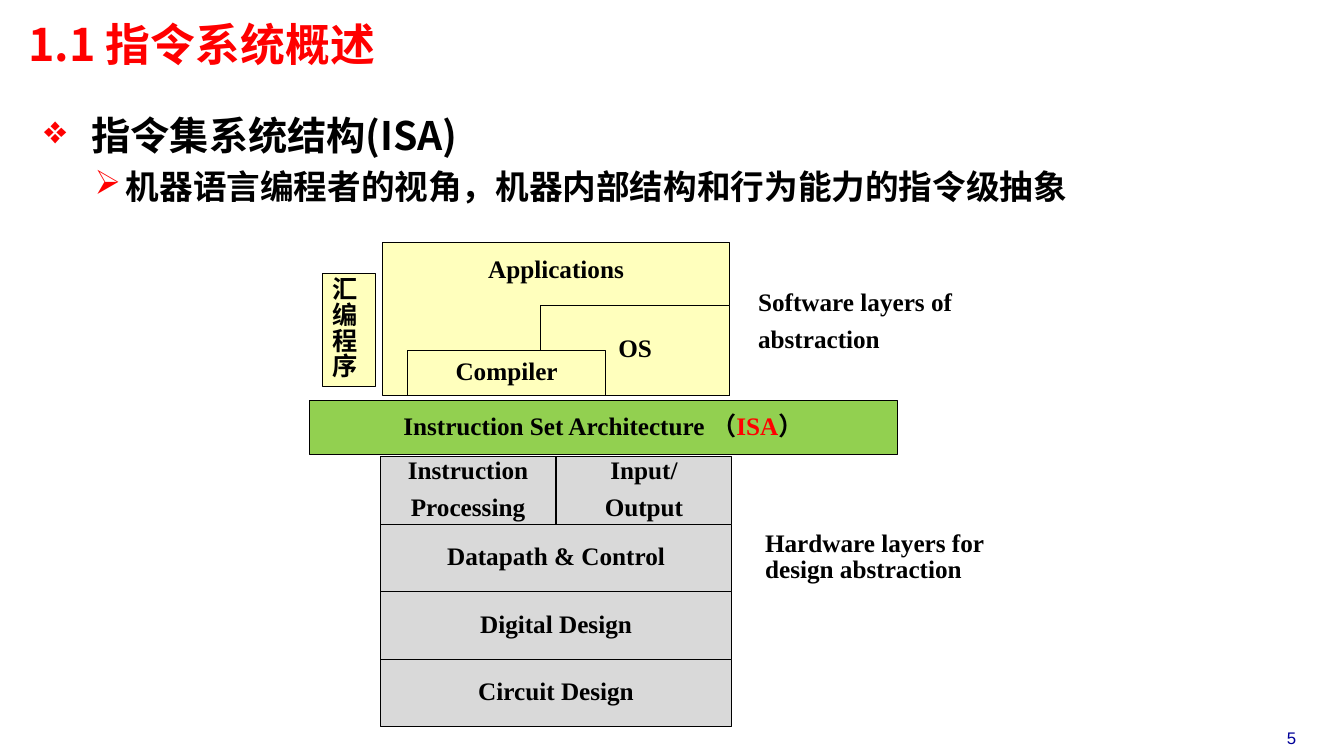
from lxml import etree
from pptx import Presentation
from pptx.dml.color import RGBColor
from pptx.enum.shapes import MSO_SHAPE
from pptx.enum.text import MSO_ANCHOR, PP_ALIGN
from pptx.oxml.ns import qn
from pptx.util import Inches, Pt

RECT = MSO_SHAPE.RECTANGLE
TOP, MIDDLE = MSO_ANCHOR.TOP, MSO_ANCHOR.MIDDLE
LEFT, CENTER = PP_ALIGN.LEFT, PP_ALIGN.CENTER

THEME = {
    "serif": "Times New Roman", "cjk": "Noto Sans CJK SC", "sans": "Arial",
    "black": "000000", "red": "FF0000", "navy": "000099",
    "software": "FFFFBD", "isa": "92D050", "hardware": "D9D9D9",
    "title": 32, "heading": 28, "point": 24, "label": 18, "number": 12,
    "outline": 0.75,
}

TITLE = "1.1 指令系统概述"
BULLETS = [
    {"text": "指令集系统结构(ISA)", "size": "heading", "mark": "❖",
     "margin": 0.47, "hang": 0.47, "level": 0},
    {"text": "机器语言编程者的视角，机器内部结构和行为能力的指令级抽象", "size": "point",
     "mark": "➢", "margin": 0.81, "hang": 0.31, "level": 1},
]
SOFTWARE = [
    ("Applications", (3.79, 2.41, 3.45, 1.51), TOP),
    ("OS", (5.36, 3.03, 1.88, 0.89), MIDDLE),
    ("Compiler", (4.04, 3.48, 1.97, 0.44), MIDDLE),
]
ASSEMBLER = ("汇编程序", (3.2, 2.71, 0.52, 1.13))
ISA_RUNS = [("Instruction Set Architecture （", "black"), ("ISA", "red"), ("）", "black")]
ISA_BOX = (3.07, 3.97, 5.83, 0.54)
HARDWARE = [
    [["Instruction", "Processing"], ["Input/", "Output"]],
    [["Datapath & Control"]],
    [["Digital Design"]],
    [["Circuit Design"]],
]
STACK_LEFT, STACK_TOP, STACK_WIDTH, ROW_HEIGHT = 3.77, 4.53, 3.49, 0.67
NOTES = [
    (["Software layers of", "abstraction"], (7.42, 2.84, 3.19, 0.77)),
    (["Hardware layers for design abstraction"], (7.49, 5.23, 2.56, 0.91)),
]
PAGE = "5"


def rgb(name):
    return RGBColor.from_string(THEME[name])


def add_run(p, text, font="serif", size="label", color="black", bold=True):
    r = p.add_run()
    r.text = text
    formats = {"name": THEME[font], "size": Pt(THEME[size]), "bold": bold}
    for key, value in formats.items():
        setattr(r.font, key, value)
    r.font.color.rgb = rgb(color)
    ea = etree.SubElement(r.font._element, qn("a:ea"))
    ea.set("typeface", THEME["cjk"])
    r.font._element.find(qn("a:latin")).addnext(ea)


def fill_text(sp, lines, align=LEFT, anchor=TOP, spacing=0.85, gap=8, wrap=True, **style):
    tf = sp.text_frame
    tf.word_wrap = wrap
    tf.vertical_anchor = anchor
    for i, line in enumerate(lines):
        p = tf.paragraphs[0] if i == 0 else tf.add_paragraph()
        formats = {"alignment": align, "line_spacing": spacing,
                   "space_before": Pt(gap if i else 0)}
        for key, value in formats.items():
            setattr(p, key, value)
        runs = [(line, style.get("color", "black"))] if isinstance(line, str) else line
        for text, color in runs:
            add_run(p, text, **{**style, "color": color})
    return tf


def add_text(s, lines, box, **style):
    sp = s.shapes.add_textbox(*map(Inches, box))
    return fill_text(sp, lines, **style)


def add_box(s, lines, box, fill, **style):
    sp = s.shapes.add_shape(RECT, *map(Inches, box))
    sp.shadow.inherit = False
    sp.fill.solid()
    sp.fill.fore_color.rgb = rgb(fill)
    sp.line.color.rgb = rgb("black")
    sp.line.width = Pt(THEME["outline"])
    return fill_text(sp, lines, **style)


def add_bullets(s, box):
    tf = s.shapes.add_textbox(*map(Inches, box)).text_frame
    tf.word_wrap = True
    for i, item in enumerate(BULLETS):
        p = tf.paragraphs[0] if i == 0 else tf.add_paragraph()
        p.level = item["level"]
        p.line_spacing = 1.2
        pPr = p._p.get_or_add_pPr()
        pPr.set("marL", str(Inches(item["margin"])))
        pPr.set("indent", str(-Inches(item["hang"])))
        color = etree.SubElement(pPr, qn("a:buClr"))
        etree.SubElement(color, qn("a:srgbClr")).set("val", THEME["red"])
        etree.SubElement(pPr, qn("a:buChar")).set("char", item["mark"])
        add_run(p, item["text"], font="cjk", size=item["size"])


def add_hardware(s):
    for i, row in enumerate(HARDWARE):
        width = STACK_WIDTH / len(row)
        for j, lines in enumerate(row):
            box = (STACK_LEFT + j * width, STACK_TOP + i * ROW_HEIGHT, width, ROW_HEIGHT)
            add_box(s, lines, box, "hardware", align=CENTER, anchor=MIDDLE, wrap=False)


def main():
    prs = Presentation()
    prs.slide_width, prs.slide_height = Inches(13.33), Inches(7.5)
    s = prs.slides.add_slide(prs.slide_layouts[6])

    tf = add_text(s, [TITLE], (0.21, 0.21, 7.67, 0.52), spacing=0.87,
                  font="cjk", size="title", color="red")
    tf.margin_left = tf.margin_right = Inches(0.07)
    tf.margin_top = tf.margin_bottom = Inches(0.03)
    add_bullets(s, (0.34, 0.96, 11.27, 1.24))

    for text, box, anchor in SOFTWARE:
        tf = add_box(s, [text], box, "software", align=CENTER, anchor=anchor, wrap=False)
        if anchor == TOP:
            tf.margin_top = Inches(0.15)
    text, box = ASSEMBLER
    add_box(s, [text], box, "software", font="cjk")
    add_box(s, [ISA_RUNS], ISA_BOX, "isa", align=CENTER, anchor=MIDDLE, wrap=False)
    add_hardware(s)
    for lines, box in NOTES:
        add_text(s, lines, box)

    add_text(s, [PAGE], (12.34, 7.17, 0.94, 0.3), align=CENTER, spacing=1.0,
             font="sans", size="number", color="navy", bold=False)
    prs.save("out.pptx")


if __name__ == "__main__":
    main()
